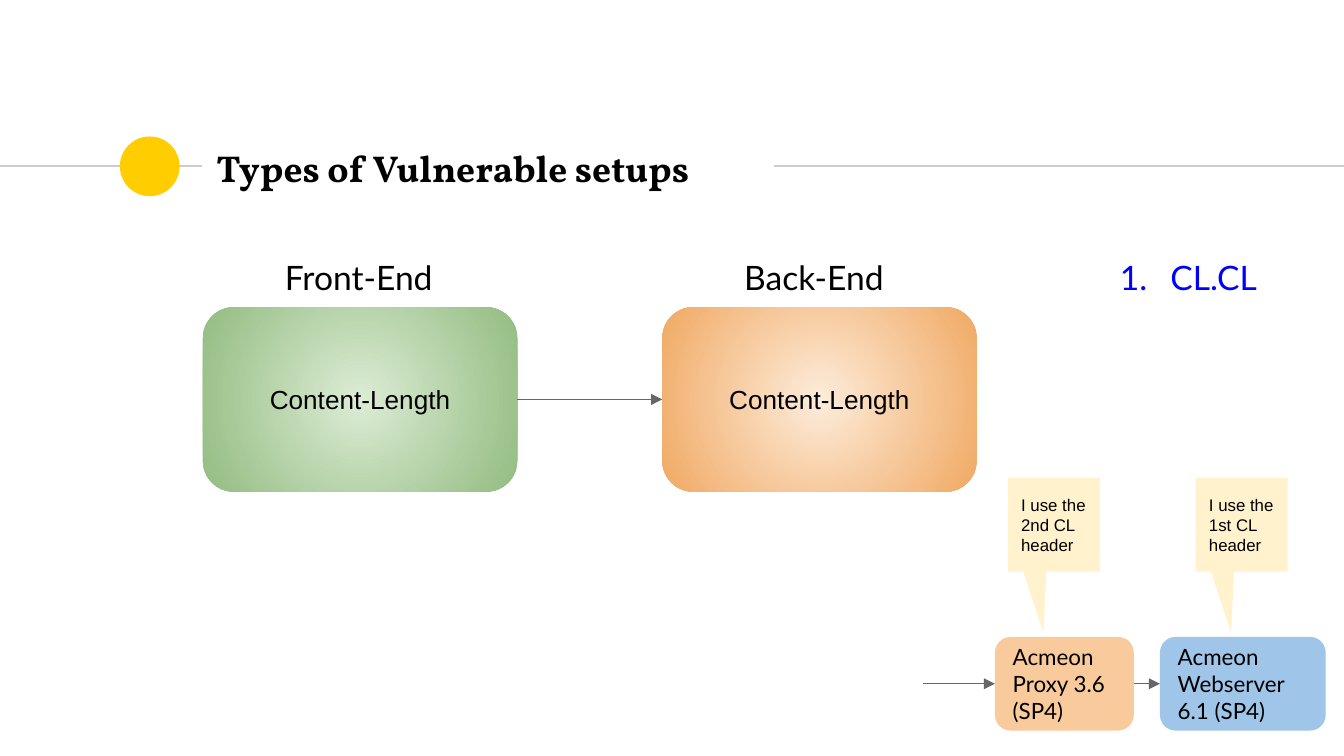
from lxml.etree import SubElement
from pptx import Presentation
from pptx.dml.color import RGBColor
from pptx.enum.shapes import MSO_CONNECTOR, MSO_SHAPE
from pptx.enum.text import MSO_ANCHOR, PP_ALIGN
from pptx.oxml.ns import qn
from pptx.util import Pt

COLORS = {
    "text": "000000", "accent": "0000FF", "rule": "CCCCCC", "dot": "FFCD00",
    "arrow": "666666", "note": "FFF2CC", "proxy": "F9CB9C", "web": "9FC5E8",
    "green_light": "DCECD5", "green": "93BC81",
    "orange_light": "FDECDB", "orange": "F0A963",
}

# Content: ends (label, label left, box left, box text, inner and outer colour)
TITLE = "Types of Vulnerable setups"
ENDS = [
    ("Front-End", 145.6, 108.7, "Content-Length", "green_light", "green"),
    ("Back-End", 391.6, 354.8, "Content-Length", "orange_light", "orange"),
]
# Servers (text, left, width, colour, note text, note left)
SERVERS = [
    ("Acmeon Proxy 3.6 (SP4)", 533, 74.4, "proxy", "I use the 2nd CL header", 540),
    ("Acmeon Webserver 6.1 (SP4)", 621.4, 88.8, "web", "I use the 1st CL header", 640.6),
]
SETUP = "CL.CL"

RULE_Y = 89
LABEL_Y, END_Y, NOTE_Y, SERVER_Y = 130.2, 164.6, 256, 341.2
END_W, END_H, SMALL_H, NOTE_W = 168.4, 98.8, 50.2, 49.2

presentation = Presentation()
presentation.slide_width, presentation.slide_height = Pt(720), Pt(405)
slide = presentation.slides.add_slide(presentation.slide_layouts[5])
shapes = slide.shapes


def rgb(name):
    return RGBColor.from_string(COLORS[name])


def write(shape, text, size, font, color="text", align=PP_ALIGN.LEFT, anchor=MSO_ANCHOR.MIDDLE):
    frame = shape.text_frame
    frame.word_wrap = True
    frame.vertical_anchor = anchor
    frame.margin_left = frame.margin_right = frame.margin_top = frame.margin_bottom = Pt(7.2)
    paragraph = frame.paragraphs[0]
    paragraph.text = text
    paragraph.alignment = align
    paragraph.font.size, paragraph.font.name = Pt(size), font
    paragraph.font.color.rgb = rgb(color)
    return paragraph


def add_block(kind, left, top, width, height, color=None):
    shape = shapes.add_shape(kind, Pt(left), Pt(top), Pt(width), Pt(height))
    shape.shadow.inherit = False
    shape.line.fill.background()
    if color:
        shape.fill.solid()
        shape.fill.fore_color.rgb = rgb(color)
    return shape


def add_label(text, left, top, width, height, color="text"):
    box = shapes.add_textbox(Pt(left), Pt(top), Pt(width), Pt(height))
    return write(box, text, 18, "Lato", color, anchor=MSO_ANCHOR.TOP)


def add_line(x1, x2, y, color):
    line = shapes.add_connector(MSO_CONNECTOR.STRAIGHT, Pt(x1), Pt(y), Pt(x2), Pt(y))
    line.line.color.rgb = rgb(color)
    line.line.width = Pt(0.75)
    SubElement(line._element.spPr, qn("a:effectLst"))
    return line


def add_arrow(x1, x2, y):
    arrow = add_line(x1, x2, y, "arrow")
    SubElement(arrow.line._get_or_add_ln(), qn("a:tailEnd"), type="triangle")
    return arrow


def fill_radial(shape, inner, outer):
    shape.fill.gradient()
    for stop, color, position in zip(shape.fill.gradient_stops, (inner, outer), (0, 1)):
        stop.color.rgb = rgb(color)
        stop.position = position
    gradient = shape._element.spPr.find(qn("a:gradFill"))
    gradient.remove(gradient.find(qn("a:lin")))
    radial = SubElement(gradient, qn("a:path"), {"path": "circle"})
    SubElement(radial, qn("a:fillToRect"), dict.fromkeys("ltrb", "50000"))


# Title with rule and dot
add_line(0, 108.3, RULE_Y, "rule")
add_line(414.7, 720, RULE_Y, "rule")
add_block(MSO_SHAPE.OVAL, 64.2, 73.1, 32, 32, "dot")
title = shapes.title
title.left, title.top, title.width, title.height = Pt(108.7), Pt(72.7), Pt(302.4), Pt(34.6)
write(title, TITLE, 20, "Vollkorn").font.bold = True

# Front end and back end
end_boxes = []
for label, label_left, left, text, inner, outer in ENDS:
    box = add_block(MSO_SHAPE.ROUNDED_RECTANGLE, left, END_Y, END_W, END_H)
    fill_radial(box, inner, outer)
    write(box, text, 14, "Arial", align=PP_ALIGN.CENTER)
    add_label(label, label_left, LABEL_Y, 94.3, 34.6)
    end_boxes.append(box)
add_arrow(ENDS[0][2] + END_W, ENDS[1][2], END_Y + END_H / 2)

# Example servers with their notes; each arrow runs from the previous box
arrow_start = 494.6
for text, left, width, color, note_text, note_left in SERVERS:
    server = add_block(MSO_SHAPE.ROUNDED_RECTANGLE, left, SERVER_Y, width, SMALL_H, color)
    write(server, text, 12, "Lato")
    add_arrow(arrow_start, left, SERVER_Y + SMALL_H / 2)
    arrow_start = left + width
    note = add_block(MSO_SHAPE.ROUNDED_RECTANGULAR_CALLOUT, note_left, NOTE_Y, NOTE_W, SMALL_H, "note")
    for index, value in enumerate((-0.114, 1.156, 0)):
        note.adjustments[index] = value
    write(note, note_text, 9, "Arial")

# Numbered setup name
setup = add_label(SETUP, 583.9, LABEL_Y, 113.8, 109.4, "accent")
properties = setup._p.get_or_add_pPr()
properties.set("marL", str(Pt(36)))
properties.set("indent", str(-Pt(27)))
bullet_color = SubElement(properties, qn("a:buClr"))
SubElement(bullet_color, qn("a:srgbClr"), val=COLORS["accent"])
SubElement(properties, qn("a:buFont"), typeface="Lato")
SubElement(properties, qn("a:buAutoNum"), type="arabicPeriod")
# The schema wants run defaults after the bullet settings
properties.append(properties.find(qn("a:defRPr")))

presentation.save("out.pptx")
